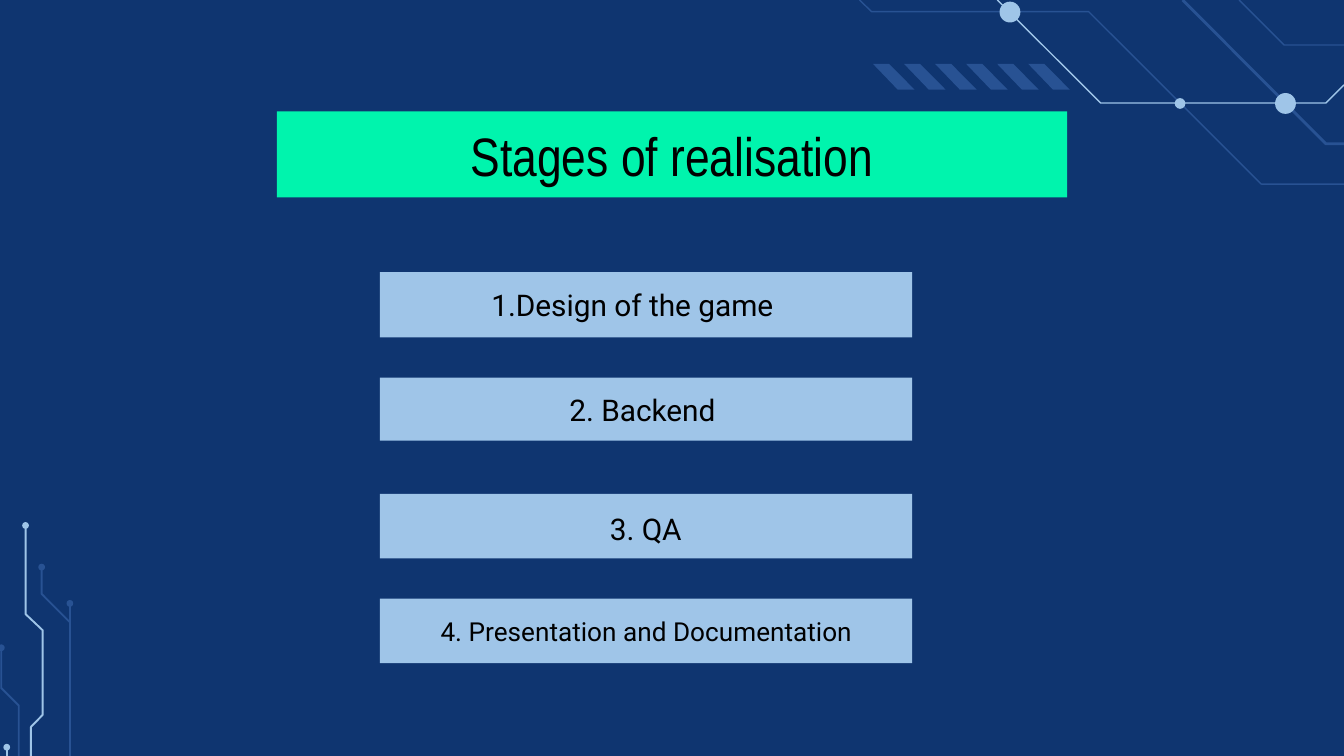
from pptx import Presentation
from pptx import util as u
from pptx.dml.color import RGBColor
from pptx.enum import shapes, text

NAVY = RGBColor(0x0F, 0x35, 0x70)
BLUE = RGBColor(0x28, 0x52, 0x93)
SKY = RGBColor(0x9F, 0xC5, 0xE8)
MINT = RGBColor(0x00, 0xF4, 0xAD)
BLACK = RGBColor(0, 0, 0)

# Widescreen slide on a square grid: 100 columns by 56.25 rows
RIGHT, BOTTOM = 100, 56.25
CELL = u.Inches(0.1)

presentation = Presentation()
presentation.slide_width = RIGHT * CELL
presentation.slide_height = int(BOTTOM * CELL)
slide = presentation.slides.add_slide(presentation.slide_layouts[6])
slide.background.fill.solid()
slide.background.fill.fore_color.rgb = NAVY


def grid(*cells):
    return [round(cell * CELL) for cell in cells]


def write(shape, words, font_name, size):
    frame = shape.text_frame
    frame.word_wrap = True
    frame.vertical_anchor = text.MSO_ANCHOR.MIDDLE
    frame.margin_left = frame.margin_right = 0
    frame.margin_top = frame.margin_bottom = 0
    paragraph = frame.paragraphs[0]
    paragraph.text = words
    paragraph.alignment = text.PP_ALIGN.CENTER
    paragraph.font.name = font_name
    paragraph.font.size = u.Pt(size)
    paragraph.font.color.rgb = BLACK


# Circuit traces: colour, line width in points, corners
traces = [
    (BLUE, 1.5, [(88, 0), (98.65, 10.7), (RIGHT, 10.7)]),
    (SKY, 0.75, [(74.2, 0), (81.9, 7.67), (98.65, 7.67), (RIGHT, 6.32)]),
    (BLUE, 0.75, [(63.95, 0), (64.85, 0.87), (81, 0.87), (93.85, 13.7), (RIGHT, 13.7)]),
    (BLUE, 0.75, [(92.2, 0), (95.55, 3.35), (RIGHT, 3.35)]),
    (SKY, 1.03, [(2.3, BOTTOM), (2.3, 54.1), (3.17, 53.2), (3.17, 46.9),
                 (1.9, 45.7), (1.9, 39.1)]),
    (BLUE, 1.03, [(5.2, BOTTOM), (5.2, 44.9)]),
    (BLUE, 1.03, [(5.2, 46.3), (3.1, 44.2), (3.1, 42.2)]),
    (BLUE, 1.03, [(1.4, BOTTOM), (1.4, 52.5), (0.1, 51.2), (0.1, 48.2)]),
    (SKY, 1.03, [(0.5, BOTTOM), (0.5, 55.6)]),
]
for color, weight, corners in traces:
    points = [grid(*corner) for corner in corners]
    builder = slide.shapes.build_freeform(*points[0])
    builder.add_line_segments(points[1:], close=False)
    trace = builder.convert_to_shape()
    trace.shadow.inherit = False
    trace.fill.background()
    trace.line.color.rgb = color
    trace.line.width = u.Pt(weight)

# Filled parts without outline, collected with their colours
filled = []

# Circuit nodes: colour, centre, diameter
nodes = [
    (SKY, 87.8, 7.7, 0.8), (SKY, 75.15, 0.9, 1.55), (SKY, 95.65, 7.7, 1.55),
    (SKY, 1.9, 39.1, 0.5), (BLUE, 5.2, 44.9, 0.5), (BLUE, 3.1, 42.2, 0.5),
    (BLUE, 0.1, 48.2, 0.5), (SKY, 0.5, 55.6, 0.5),
]
for color, x, y, size in nodes:
    node = slide.shapes.add_shape(
        shapes.MSO_SHAPE.OVAL, *grid(x - size / 2, y - size / 2, size, size))
    filled.append((node, color))

# Row of slanted stripes
for index in range(6):
    left = 64.95 + 2.31 * index
    builder = slide.shapes.build_freeform(*grid(left, 4.75))
    builder.add_line_segments([
        grid(left + 1.85, 6.67), grid(left + 3.1, 6.67), grid(left + 1.2, 4.75)])
    filled.append((builder.convert_to_shape(), BLUE))

# Title banner
banner = slide.shapes.add_shape(
    shapes.MSO_SHAPE.RECTANGLE, *grid(20.6, 8.3, 58.8, 6.4))
write(banner, "Stages of realisation", "Arial Narrow", 29)
filled.append((banner, MINT))

# Stages: wording, size, bar top and height, label left, top, width and height
stages = [
    ("1.Design of the game", 16, (20.25, 4.85), (27.1, 21, 39.9, 3.3)),
    ("2. Backend", 16, (28.1, 4.7), (30.55, 28.85, 34.5, 3.2)),
    ("3. QA", 16, (36.75, 4.8), (45.1, 36.8, 5.9, 5)),
    ("4. Presentation and Documentation", 14, (44.55, 4.8), (30.1, 45.3, 36, 3.3)),
]
for words, size, (top, height), label_box in stages:
    bar = slide.shapes.add_shape(
        shapes.MSO_SHAPE.RECTANGLE, *grid(28.27, top, 39.6, height))
    filled.append((bar, SKY))
    label = slide.shapes.add_textbox(*grid(*label_box))
    write(label, words, "Roboto", size)

# Flat fills
for shape, color in filled:
    shape.shadow.inherit = False
    shape.fill.solid()
    shape.fill.fore_color.rgb = color
    shape.line.fill.background()

presentation.save("out.pptx")
